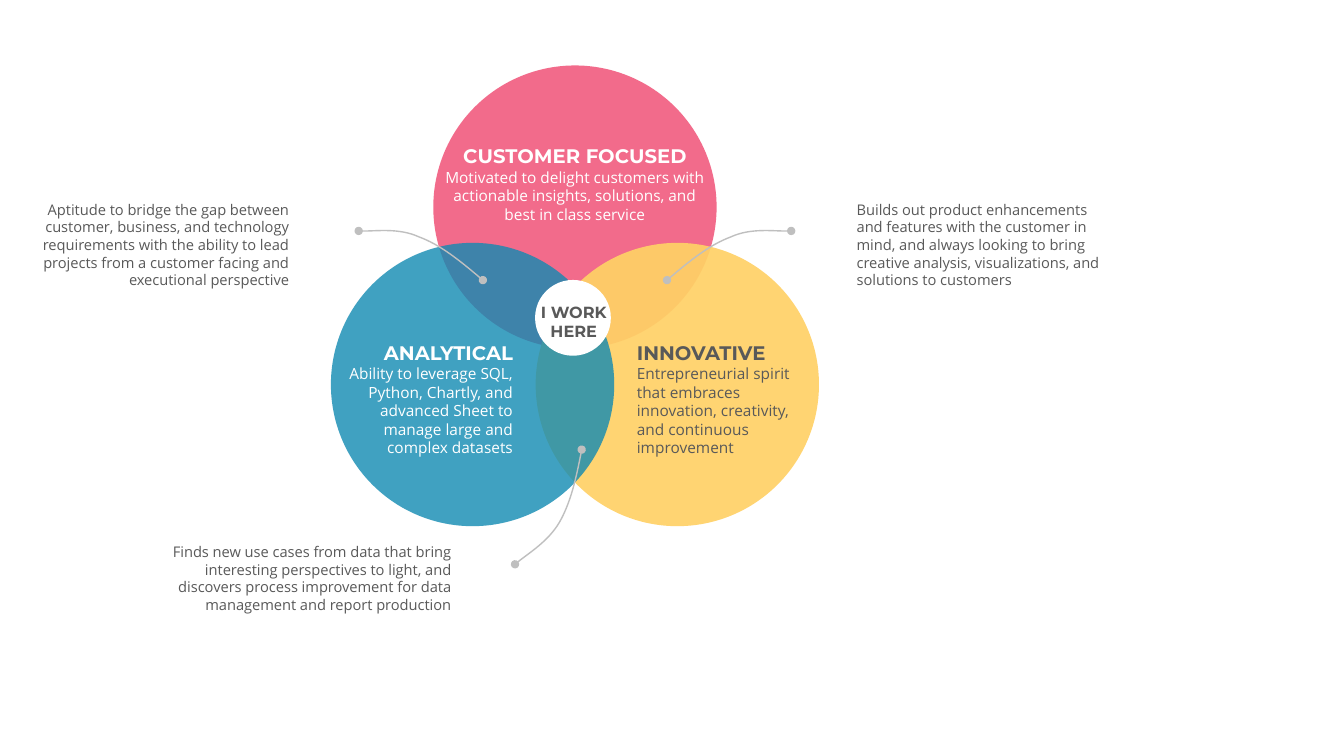
import pptx
import pptx.util
import pptx.dml.color
import pptx.enum.shapes
import pptx.enum.text
from lxml import etree
from pptx.oxml.ns import qn

Cm = pptx.util.Cm
ALIGN = pptx.enum.text.PP_ALIGN
HEAD, BODY = "Montserrat", "Open Sans"
WHITE, DARK, GREY = "FFFFFF", "595959", "BFBFBF"

# Content: lengths in cm
MID_X, SPREAD = 14.49, 2.58
TOP_Y, LOW_Y = 5.22, 9.69
DIAMETER = 7.14
circles = [  # centre x, centre y, diameter, colour, opacity in %
    (MID_X, TOP_Y, DIAMETER, "EF476F", 80),
    (MID_X + SPREAD, LOW_Y, DIAMETER, "FFD166", 92),
    (MID_X - SPREAD, LOW_Y, DIAMETER, "118AB2", 80),
    (14.44, 8.01, 1.91, WHITE, 100),
]
skills = [  # box, alignment, colour, heading, paragraphs
    ((10.92, 3.51, 7.14, 2.29), ALIGN.CENTER, WHITE, "CUSTOMER FOCUSED",
     ["Motivated to delight customers with actionable insights, solutions, and",
      "best in class service"]),
    ((15.8, 8.46, 4.78, 3.2), ALIGN.LEFT, DARK, "INNOVATIVE",
     ["Entrepreneurial spirit",
      "that embraces innovation, creativity, and continuous improvement"]),
    ((7.95, 8.46, 5.23, 3.81), ALIGN.RIGHT, WHITE, "ANALYTICAL",
     ["Ability to leverage SQL, Python, Chartly, and advanced Sheet to",
      "manage large and", "complex datasets"]),
]
notes = [  # box, alignment, text
    ((21.34, 4.93, 6.76, 2.49), ALIGN.LEFT,
     "Builds out product enhancements and features with the customer in mind, and always "
     "looking to bring creative analysis, visualizations, and solutions to customers"),
    ((0.43, 4.93, 7.11, 2.49), ALIGN.RIGHT,
     "Aptitude to bridge the gap between customer, business, and technology requirements "
     "with the ability to lead projects from a customer facing and executional perspective"),
    ((3.63, 13.56, 8, 2.06), ALIGN.RIGHT,
     "Finds new use cases from data that bring interesting perspectives to light, and "
     "discovers process improvement for data management and report production"),
]
hub_box, hub_lines = (13.34, 7.49, 2.24, 1.24), ["I WORK", "HERE"]

# Leader curves: a start point, then three points per Bezier segment
right_leader = [(16.81, 7.06), (17.35, 6.6), (17.88, 6.17), (18.42, 5.97),
                (18.92, 5.74), (19.58, 5.84), (19.94, 5.82)]
left_leader = [(2 * MID_X - x, y) for x, y in right_leader]
lower_leader = [(14.66, 11.33), (14.53, 12.01), (14.38, 12.67), (14.1, 13.16),
                (13.82, 13.64), (13.23, 14), (12.98, 14.22)]

prs = pptx.Presentation()
prs.slide_width, prs.slide_height = Cm(33.87), Cm(19.05)
s = prs.slides.add_slide(prs.slide_layouts[6])


def rgb(code):
    return pptx.dml.color.RGBColor.from_string(code)


def add_circle(x, y, size, color, opacity):
    sp = s.shapes.add_shape(pptx.enum.shapes.MSO_SHAPE.OVAL, Cm(x - size / 2),
                            Cm(y - size / 2), Cm(size), Cm(size))
    sp.shadow.inherit = False
    sp.line.fill.background()
    sp.fill.solid()
    sp.fill.fore_color.rgb = rgb(color)
    if opacity < 100:
        clr = sp.fill._xPr.find(".//" + qn("a:srgbClr"))
        etree.SubElement(clr, qn("a:alpha"), val=str(opacity * 1000))


def add_leader(points):
    pts = [(Cm(x), Cm(y)) for x, y in points]
    fb = s.shapes.build_freeform(*pts[0], scale=1.0)
    fb.add_line_segments(pts[1:], close=False)
    sp = fb.convert_to_shape()
    sp.shadow.inherit = False
    sp.fill.background()
    sp.line.color.rgb = rgb(GREY)
    sp.line.width = pptx.util.Pt(1)
    ln = sp.line._get_or_add_ln()
    for end in ("a:headEnd", "a:tailEnd"):
        etree.SubElement(ln, qn(end), type="oval")
    # Turn each three line segments into one cubic curve
    path_el = sp._element.find(".//" + qn("a:path"))
    for i, seg in enumerate(path_el.findall(qn("a:lnTo"))):
        if i % 3 == 0:
            curve = etree.SubElement(path_el, qn("a:cubicBezTo"))
        curve.append(seg[0])
        path_el.remove(seg)


def add_box(box):
    tf = s.shapes.add_textbox(*(Cm(v) for v in box)).text_frame
    tf.word_wrap = True
    return tf


def add_text(tf, text, size=11, font=BODY, color=DARK, bold=False, align=ALIGN.LEFT):
    p = tf.paragraphs[0]
    if p.runs:
        p = tf.add_paragraph()
    p.alignment = align
    r = p.add_run()
    r.text = text
    r.font.size, r.font.name, r.font.bold = pptx.util.Pt(size), font, bold
    r.font.color.rgb = rgb(color)


# Circles and leaders
for circle in circles:
    add_circle(*circle)
for leader in (right_leader, left_leader, lower_leader):
    add_leader(leader)

# Text in the circles
for box, align, color, heading, lines in skills:
    tf = add_box(box)
    add_text(tf, heading, size=14, font=HEAD, color=color, bold=True, align=align)
    for line in lines:
        add_text(tf, line, color=color, align=align)

# Text outside the circles
for box, align, text in notes:
    add_text(add_box(box), text, size=10.5, align=align)

# Centre label
tf = add_box(hub_box)
for line in hub_lines:
    add_text(tf, line, size=11.5, font=HEAD, bold=True, align=ALIGN.CENTER)

prs.save("out.pptx")
